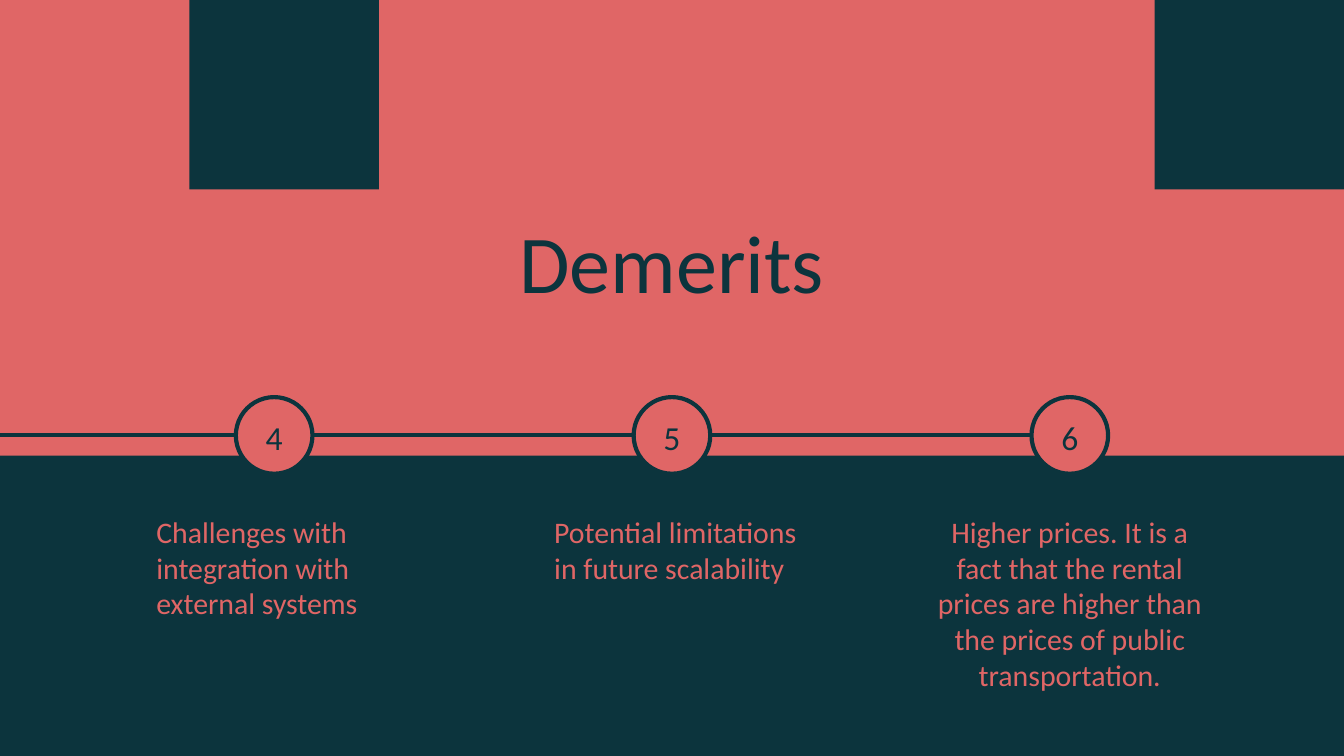
from lxml import etree
from pptx import Presentation
from pptx.dml.color import RGBColor
from pptx.enum import shapes, text
from pptx.oxml.ns import qn
from pptx.util import Inches, Pt

# Content
TITLE = "Demerits"
LEFT, CENTER = text.PP_ALIGN.LEFT, text.PP_ALIGN.CENTER
POINTS = [
    ("4", "Challenges with integration with external systems", LEFT),
    ("5", "Potential limitations in future scalability", LEFT),
    ("6", "Higher prices. It is a fact that the rental prices are higher "
          "than the prices of public transportation.", CENTER),
]
COLORS = {"coral": "E06666", "teal": "0C343D"}
FONT = "Calibri"

# Layout, in inches
WIDTH = 10
HEIGHT = WIDTH * 9 / 16
SQUARE = 1.41
CIRCLE, LINE_Y = 0.57, 3.24
TEXT_W, TEXT_H, TEXT_Y = 2.19, 0.85, 3.72
STEP = 2.96
INDENT = 0.12


def rgb(name):
    return RGBColor.from_string(COLORS[name])


def add_shape(kind, x, y, w, h, fill, line=None):
    sp = slide.shapes.add_shape(kind, Inches(x), Inches(y), Inches(w), Inches(h))
    sp.shadow.inherit = False
    sp.fill.solid()
    sp.fill.fore_color.rgb = rgb(fill)
    if line:
        sp.line.color.rgb = rgb(line)
        sp.line.width = Pt(2.25)
    else:
        sp.line.fill.background()
    return sp


def set_text(sp, words, size, color, align=CENTER, top=0.1):
    tf = sp.text_frame
    tf.word_wrap = True
    tf.margin_left = tf.margin_right = tf.margin_bottom = Inches(0.1)
    tf.margin_top = Inches(top)
    p = tf.paragraphs[0]
    p.text = words
    p.alignment = align
    p.font.name = FONT
    p.font.size = Pt(size)
    p.font.color.rgb = rgb(color)
    return p


def add_text(x, y, w, h, *args):
    sp = slide.shapes.add_textbox(Inches(x), Inches(y), Inches(w), Inches(h))
    return set_text(sp, *args)


def add_line(x1, x2):
    ln = slide.shapes.add_connector(shapes.MSO_CONNECTOR.STRAIGHT, Inches(x1),
                                    Inches(LINE_Y), Inches(x2), Inches(LINE_Y))
    ln.line.color.rgb = rgb("teal")
    ln.line.width = Pt(2.25)
    etree.SubElement(ln._element.spPr, qn("a:effectLst"))


prs = Presentation()
prs.slide_width, prs.slide_height = Inches(WIDTH), Inches(HEIGHT)
slide = prs.slides.add_slide(prs.slide_layouts[6])
slide.background.fill.solid()
slide.background.fill.fore_color.rgb = rgb("coral")

# Lower band and top squares
RECT = shapes.MSO_SHAPE.RECTANGLE
add_shape(RECT, -0.09, 3.39, 10.16, 2.3, "teal")
for x in (WIDTH - SQUARE, SQUARE):
    add_shape(RECT, x, 0, SQUARE, SQUARE, "teal")

# Title
add_text(0.34, 1.47, 9.32, 0.63, TITLE, 44, "teal")

# Timeline: description, numbered circle and the line leading to it
line_start = -0.07
for i, (number, words, align) in enumerate(POINTS):
    cx = WIDTH / 2 + (i - 1) * STEP
    p = add_text(cx - TEXT_W / 2, TEXT_Y, TEXT_W, TEXT_H, words, 16, "coral", align)
    if align == LEFT:
        p._p.get_or_add_pPr().set("marL", str(Inches(INDENT)))
    circle = add_shape(shapes.MSO_SHAPE.OVAL, cx - CIRCLE / 2, LINE_Y - CIRCLE / 2,
                       CIRCLE, CIRCLE, "coral", "teal")
    circle.text_frame.vertical_anchor = text.MSO_ANCHOR.MIDDLE
    set_text(circle, number, 18, "teal", top=0.12)
    add_line(line_start, cx - CIRCLE / 2)
    line_start = cx + CIRCLE / 2

prs.save("out.pptx")
